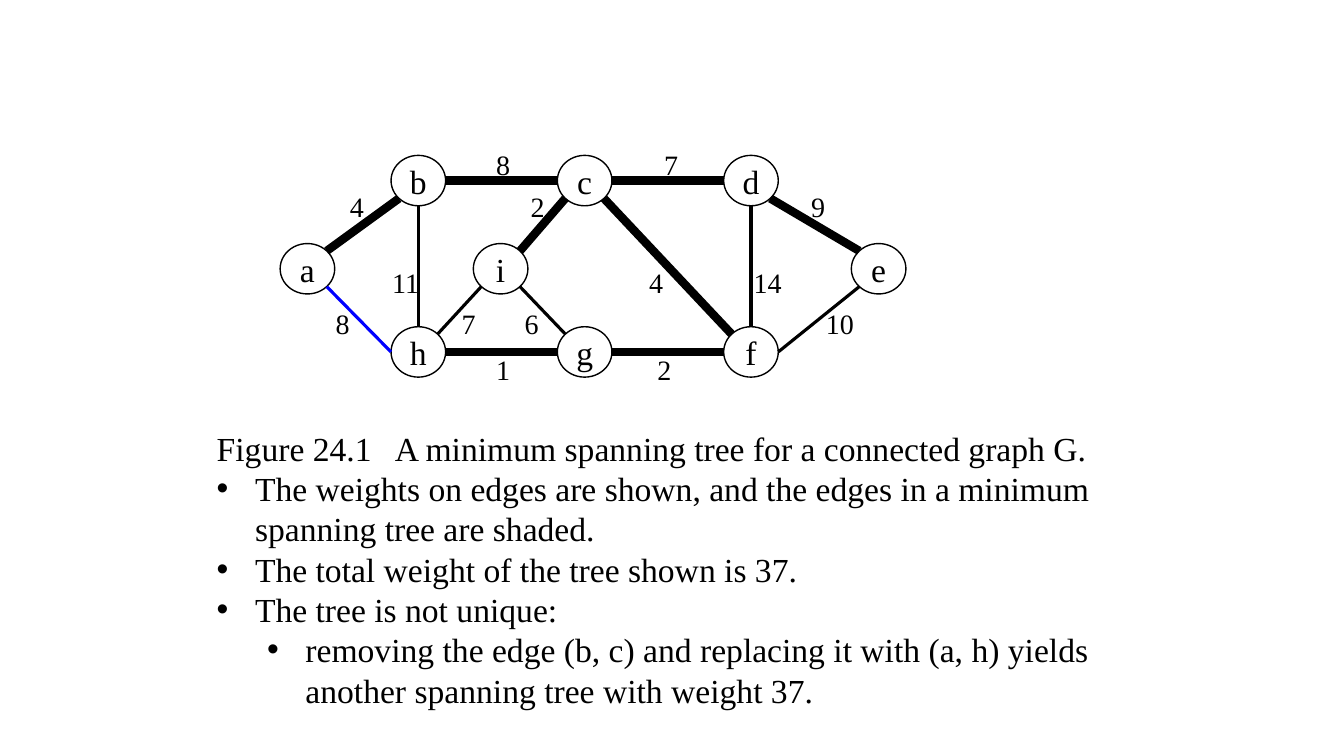
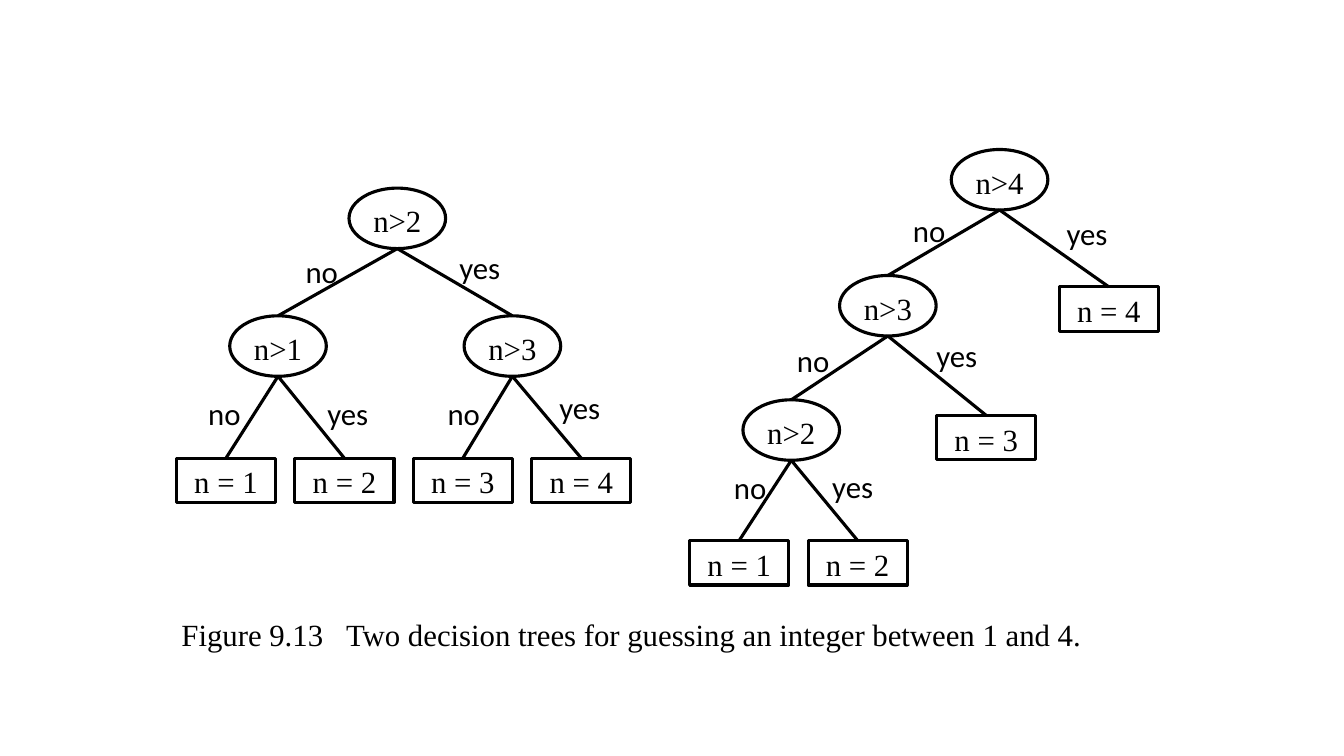
"""Build two slides: a minimum spanning tree and a pair of decision trees."""
from lxml.etree import SubElement
from pptx import Presentation
from pptx.dml.color import RGBColor
from pptx.enum.shapes import MSO_CONNECTOR, MSO_SHAPE
from pptx.enum.text import MSO_ANCHOR, MSO_AUTO_SIZE, PP_ALIGN
from pptx.oxml.ns import qn
from pptx.util import Inches, Pt

COLORS = {"ink": "000000", "paper": "FFFFFF", "swap": "0000FF"}
SERIF, SANS = "Times New Roman", "Calibri"
COLUMNS, ROWS = 16, 9
WIDTH, HEIGHT = Inches(13.33), Inches(7.5)

VERTEX_SIZE = (0.65, 0.6)
WEIGHT_SIZE = (0.6, 0.4)
QUESTION_SIZE = (1.15, 0.72)
LEAF_SIZE = (1.18, 0.53)
ANSWER_SIZE = (0.83, 0.56)

DIAGONAL = 0.71
SITES = {
    "N": (0, -1), "S": (0, 1), "W": (-1, 0), "E": (1, 0),
    "NW": (-DIAGONAL, -DIAGONAL), "NE": (DIAGONAL, -DIAGONAL),
    "SW": (-DIAGONAL, DIAGONAL), "SE": (DIAGONAL, DIAGONAL),
}
EDGE_STYLES = {"tree": ("ink", 6), "plain": ("ink", 2.25), "swap": ("swap", 2.25)}

VERTICES = {
    "a": (3.66, 3.2), "b": (4.98, 2.15), "c": (6.96, 2.15),
    "d": (8.94, 2.15), "e": (10.46, 3.2), "f": (8.94, 4.19),
    "g": (6.96, 4.19), "h": (4.98, 4.19), "i": (5.96, 3.2),
}
EDGES = [
    ("a", "NE", "b", "SW", "tree", "4", (4.25, 2.45)),
    ("b", "E", "c", "W", "tree", "8", (5.99, 1.96)),
    ("c", "E", "d", "W", "tree", "7", (7.99, 1.96)),
    ("h", "E", "g", "W", "tree", "1", (5.99, 4.4)),
    ("g", "E", "f", "W", "tree", "2", (7.91, 4.4)),
    ("f", "E", "e", "SW", "plain", "10", (10, 3.85)),
    ("a", "SE", "h", "W", "swap", "8", (4.08, 3.85)),
    ("d", "SE", "e", "NW", "tree", "9", (9.74, 2.45)),
    ("i", "SE", "g", "NW", "plain", "6", (6.33, 3.85)),
    ("i", "SW", "h", "NE", "plain", "7", (5.58, 3.85)),
    ("c", "SW", "i", "NE", "tree", "2", (6.4, 2.45)),
    ("h", "N", "b", "S", "plain", "11", (4.83, 3.36)),
    ("f", "N", "d", "S", "plain", "14", (9.14, 3.36)),
    ("c", "SE", "f", "NW", "tree", "4", (7.81, 3.36)),
]
FACTS = [
    (0, "The weights on edges are shown, and the edges in a minimum spanning tree are shaded."),
    (0, "The total weight of the tree shown is 37."),
    (0, "The tree is not unique:"),
    (1, "removing the edge (b, c) and replacing it with (a, h) yields "
        "another spanning tree with weight 37."),
]
BULLET_INDENTS = (0.38, 0.88)

LEAF_LEFT, LEAF_STEP = 2.69, 1.41
BALANCED_NODES = {"n>2": (4.73, 2.6), "n>1": (3.31, 4.12), "n>3": (6.1, 4.12)}
BALANCED_NODES.update(
    {f"n = {rank + 1}": (LEAF_LEFT + rank * LEAF_STEP, 5.72) for rank in range(4)})
BALANCED_BRANCHES = [
    ("n>2", "n>1", "no", (3.52, 2.95)),
    ("n>2", "n>3", "yes", (5.35, 2.9)),
    ("n>1", "n = 1", "no", (2.36, 4.64)),
    ("n>1", "n = 2", "yes", (3.78, 4.64)),
    ("n>3", "n = 3", "no", (5.21, 4.64)),
    ("n>3", "n = 4", "yes", (6.54, 4.57)),
]
LINEAR_NODES = {
    "n>4": (11.9, 2.14), "n>3": (10.57, 3.64), "n>2": (9.42, 5.12),
    "n = 4": (13.2, 3.68), "n = 3": (11.74, 5.21),
    "n = 1": (8.8, 6.7), "n = 2": (8.8 + LEAF_STEP, 6.7),
}
LINEAR_BRANCHES = [
    ("n>4", "n>3", "no", (10.75, 2.46)),
    ("n>4", "n = 4", "yes", (12.58, 2.5)),
    ("n>3", "n>2", "no", (9.37, 4.01)),
    ("n>3", "n = 3", "yes", (11.03, 3.95)),
    ("n>2", "n = 1", "no", (8.62, 5.52)),
    ("n>2", "n = 2", "yes", (9.79, 5.51)),
]


def across(columns):
    return round(WIDTH * columns / COLUMNS)


def down(rows):
    return round(HEIGHT * rows / ROWS)


def color(name):
    return RGBColor.from_string(COLORS[name])


def apply(target, values):
    for name, value in values.items():
        setattr(target, name, value)


def frame(corner, size):
    return across(corner[0]), down(corner[1]), across(size[0]), down(size[1])


def centered(center, size):
    return frame([middle - extent / 2 for middle, extent in zip(center, size)], size)


def write(para, text, size, font=SERIF, align=PP_ALIGN.LEFT):
    apply(para, {"alignment": align, "space_before": Pt(0)})
    span = para.add_run()
    span.text = text
    apply(span.font, {"name": font, "size": Pt(size)})
    span.font.color.rgb = color("ink")


def place(placeholder, corner, size):
    apply(placeholder, dict(zip(("left", "top", "width", "height"), frame(corner, size))))
    apply(placeholder.text_frame, {"word_wrap": True, "auto_size": MSO_AUTO_SIZE.NONE,
                                   "vertical_anchor": MSO_ANCHOR.TOP})


def add_caption(page, number, text, corner, size, font_size, tab):
    title = page.shapes.title
    place(title, corner, size)
    para = title.text_frame.paragraphs[0]
    write(para, f"{number}\t{text}", font_size)
    stops = SubElement(para._p.get_or_add_pPr(), qn("a:tabLst"))
    SubElement(stops, qn("a:tab"), pos=str(across(tab)), algn="l")


def add_list(page, items, corner, size, font_size):
    body = page.placeholders[1]
    place(body, corner, size)
    for index, (level, text) in enumerate(items):
        paras = body.text_frame
        para = paras.add_paragraph() if index else paras.paragraphs[0]
        para.level = level
        write(para, text, font_size)
        properties = para._p.get_or_add_pPr()
        properties.set("marL", str(Inches(BULLET_INDENTS[level])))
        properties.set("indent", str(-Inches(BULLET_INDENTS[0])))
        SubElement(properties, qn("a:buFont"), typeface="Arial")
        SubElement(properties, qn("a:buChar"), char="•")


def add_node(page, kind, center, size, text, font_size, line_width, anchor):
    node = page.shapes.add_shape(kind, *centered(center, size))
    node.shadow.inherit = False
    node.fill.solid()
    node.fill.fore_color.rgb = color("paper")
    node.line.color.rgb = color("ink")
    node.line.width = Pt(line_width)
    apply(node.text_frame, {"word_wrap": False, "vertical_anchor": anchor})
    write(node.text_frame.paragraphs[0], text, font_size, align=PP_ALIGN.CENTER)
    return node


def add_line(page, start, end, style):
    ink, width = EDGE_STYLES[style]
    line = page.shapes.add_connector(
        MSO_CONNECTOR.STRAIGHT, across(start[0]), down(start[1]), across(end[0]), down(end[1]))
    line.line.color.rgb = color(ink)
    line.line.width = Pt(width)
    SubElement(line.element.spPr, qn("a:effectLst"))
    return line


def add_weight(page, center, text):
    box = page.shapes.add_textbox(*centered(center, WEIGHT_SIZE))
    apply(box.text_frame, {"word_wrap": True, "vertical_anchor": MSO_ANCHOR.MIDDLE,
                           "margin_left": 0, "margin_right": 0,
                           "margin_top": 0, "margin_bottom": 0})
    write(box.text_frame.paragraphs[0], text, 20, align=PP_ALIGN.CENTER)


def add_answer(page, corner, text):
    box = page.shapes.add_textbox(*frame(corner, ANSWER_SIZE))
    box.text_frame.word_wrap = True
    write(box.text_frame.paragraphs[0], text, 22, SANS)


def site(center, size, direction):
    return [middle + extent / 2 * step
            for middle, extent, step in zip(center, size, SITES[direction])]


def draw_graph(page):
    for *_, weight, center in EDGES:
        add_weight(page, center, weight)
    for name, center in VERTICES.items():
        add_node(page, MSO_SHAPE.OVAL, center, VERTEX_SIZE, name, 24, 1, MSO_ANCHOR.MIDDLE)
    for first, leaving, second, arriving, style, *_ in EDGES:
        add_line(page, site(VERTICES[first], VERTEX_SIZE, leaving),
                 site(VERTICES[second], VERTEX_SIZE, arriving), style)


def draw_tree(page, centers, branches):
    nodes = {}
    for text, center in centers.items():
        is_question = ">" in text
        kind = MSO_SHAPE.OVAL if is_question else MSO_SHAPE.RECTANGLE
        size = QUESTION_SIZE if is_question else LEAF_SIZE
        nodes[text] = add_node(page, kind, center, size, text, 22, 2.25, MSO_ANCHOR.TOP)
    for parent, child, answer, corner in branches:
        line = add_line(page, site(centers[parent], QUESTION_SIZE, "S"),
                        centers[child], "plain")
        line.end_connect(nodes[child], 0)
        add_answer(page, corner, answer)


def main():
    deck = Presentation()
    apply(deck, {"slide_width": WIDTH, "slide_height": HEIGHT})

    page = deck.slides.add_slide(deck.slide_layouts[1])
    add_caption(page, "Figure 24.1", "A minimum spanning tree for a connected graph G.",
                (2.46, 5.03), (10.8, 0.56), 24, 2.12)
    add_list(page, FACTS, (2.46, 5.51), (10.8, 3.03), 24)
    draw_graph(page)

    page = deck.slides.add_slide(deck.slide_layouts[5])
    add_caption(page, "Figure 9.13",
                "Two decision trees for guessing an integer between 1 and 4.",
                (2.04, 7.27), (11.15, 0.56), 22, 1.96)
    draw_tree(page, BALANCED_NODES, BALANCED_BRANCHES)
    draw_tree(page, LINEAR_NODES, LINEAR_BRANCHES)

    deck.save("out.pptx")


if __name__ == "__main__":
    main()
